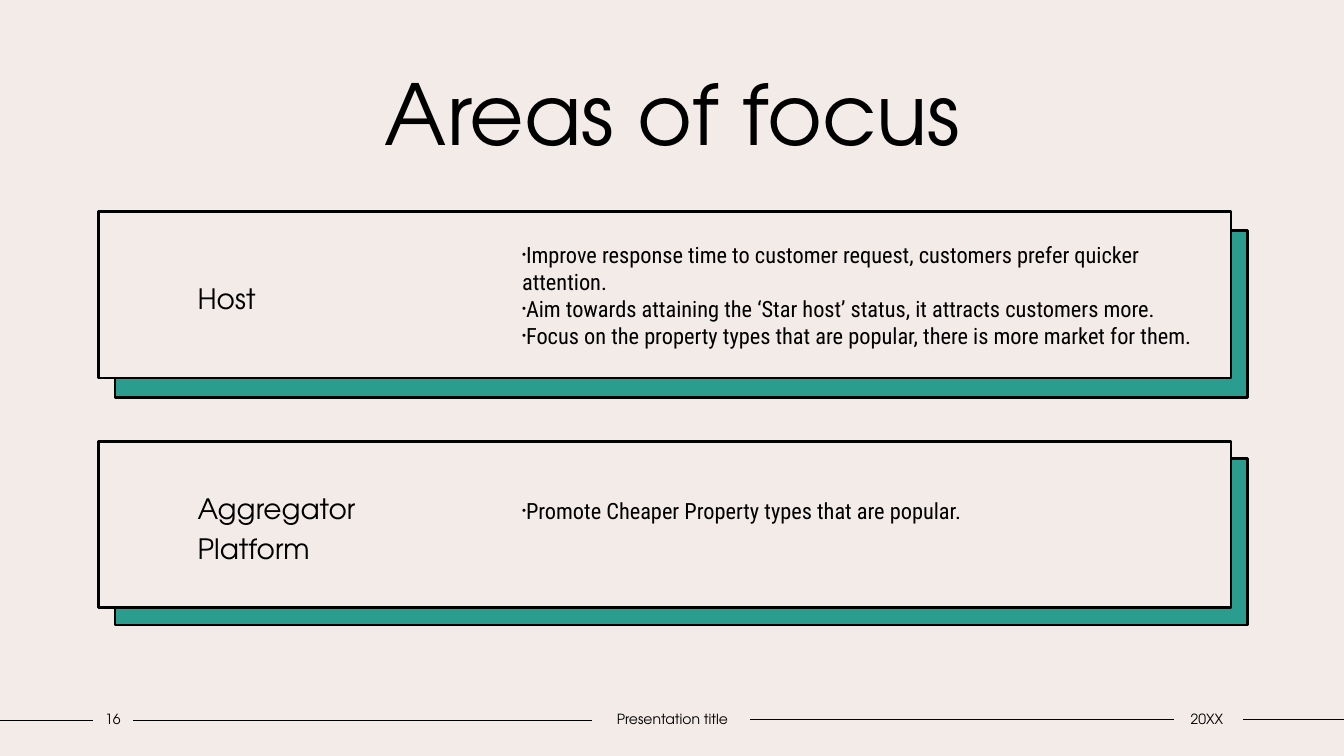
from dataclasses import dataclass

from lxml.etree import SubElement
from pptx import Presentation
from pptx.dml.color import RGBColor as Rgb
from pptx.enum.shapes import MSO_CONNECTOR as Link, MSO_SHAPE as Kind
from pptx.enum.text import MSO_ANCHOR as Anchor, PP_ALIGN as Align
from pptx.oxml.ns import qn
from pptx.shapes.autoshape import Shape
from pptx.slide import Slide
from pptx.util import Inches, Pt


@dataclass(frozen=True)
class Theme:
    paper: Rgb = Rgb(0xF3, 0xEB, 0xE8)
    ink: Rgb = Rgb(0, 0, 0)
    teal: Rgb = Rgb(0x2A, 0x9D, 0x8F)
    head: str = "TeX Gyre Adventor"
    body: str = "Roboto Condensed"
    title: int = 60
    label: int = 20
    point: int = 16
    foot: int = 10


@dataclass(frozen=True)
class Card:
    top: float
    back: float
    label: list[str]
    points: list[str]
    low: float = 0.05


@dataclass(frozen=True)
class Note:
    text: str
    left: float
    width: float


@dataclass(frozen=True)
class Rule:
    start: float
    end: float
    top: float


THEME = Theme()
LEFT, WIDTH, HEIGHT = 0.98, 11.23, 1.65
CARDS = [
    Card(2.1, 2.29, ["Host"], [
        "Improve response time to customer request, customers prefer quicker attention.",
        "Aim towards attaining the ‘Star host’ status, it attracts customers more.",
        "Focus on the property types that are popular, there is more market for them.",
    ]),
    Card(4.38, 4.55, ["Aggregator", "Platform"],
         ["Promote Cheaper Property types that are popular."], low=0.32),
]
NOTES = [
    Note("16", 0.92, 0.4),
    Note("Presentation title", 5.87, 1.6),
    Note("20XX", 11.62, 0.7),
]
RULES = [
    Rule(0, 0.92, 7.15),
    Rule(1.32, 5.87, 7.15),
    Rule(7.44, 11.64, 7.14),
    Rule(12.33, 13.33, 7.14),
]


def add_rule(slide: Slide, rule: Rule) -> None:
    top = Inches(rule.top)
    line = slide.shapes.add_connector(
        Link.STRAIGHT, Inches(rule.start), top, Inches(rule.end), top)
    line.line.color.rgb = THEME.ink
    line.line.width = Pt(1)
    SubElement(line._element.spPr, qn("a:effectLst"))


def add_panel(slide: Slide, left: float, top: float, fill: Rgb) -> Shape:
    panel = slide.shapes.add_shape(
        Kind.RECTANGLE, Inches(left), Inches(top), Inches(WIDTH), Inches(HEIGHT))
    panel.shadow.inherit = False
    panel.fill.solid()
    panel.fill.fore_color.rgb = fill
    panel.line.color.rgb = THEME.ink
    panel.line.width = Pt(2)
    return panel


def add_box(slide: Slide, left: float, top: float, width: float, height: float) -> Shape:
    return slide.shapes.add_textbox(
        Inches(left), Inches(top), Inches(width), Inches(height))


def add_dot(para) -> None:
    """Give a paragraph a half-size hanging bullet."""
    props = para._p.get_or_add_pPr()
    props.set("marL", "0")
    props.set("indent", str(-Inches(0.15)))
    SubElement(props, qn("a:buSzPct"), val="50000")
    SubElement(props, qn("a:buFont"), typeface="Arial")
    SubElement(props, qn("a:buChar"), char="•")


def write(shape: Shape, lines: list[str], face: str, size: int,
          align: Align = Align.LEFT, anchor: Anchor = Anchor.MIDDLE,
          side: tuple[float, float] = (0.1, 0.1), low: float = 0.05,
          space: float = 1.0, dots: bool = False) -> None:
    """Fill a shape with one paragraph per line; side holds left and right insets."""
    frame = shape.text_frame
    frame.word_wrap = True
    frame.vertical_anchor = anchor
    frame.margin_left, frame.margin_right = map(Inches, side)
    frame.margin_top, frame.margin_bottom = Inches(0.05), Inches(low)
    for index, line in enumerate(lines):
        para = frame.add_paragraph() if index else frame.paragraphs[0]
        para.text = line
        para.alignment = align
        para.line_spacing = space
        if dots:
            add_dot(para)
        para.font.name = face
        para.font.size = Pt(size)
        para.font.color.rgb = THEME.ink


def add_card(slide: Slide, card: Card) -> None:
    panel = add_panel(slide, LEFT, card.top, THEME.paper)
    write(panel, card.label, THEME.head, THEME.label, side=(0.98, 7.1), space=1.2)
    box = add_box(slide, 5.08, card.top + 0.1, 7.01, 1.45)
    write(box, card.points, THEME.body, THEME.point, low=card.low, dots=True)


def main() -> None:
    deck = Presentation()
    deck.slide_width, deck.slide_height = Inches(13.33), Inches(7.5)
    slide = deck.slides.add_slide(deck.slide_layouts[6])
    slide.background.fill.solid()
    slide.background.fill.fore_color.rgb = THEME.paper

    for rule in RULES:
        add_rule(slide, rule)
    for card in CARDS:
        add_panel(slide, LEFT + 0.16, card.back, THEME.teal)
    title = add_box(slide, 1.25, 0.56, 10.84, 1.11)
    write(title, ["Areas of focus"], THEME.head, THEME.title,
          align=Align.CENTER, anchor=Anchor.TOP)
    for card in CARDS:
        add_card(slide, card)
    for note in NOTES:
        box = add_box(slide, note.left, 7, note.width, 0.27)
        write(box, [note.text], THEME.head, THEME.foot,
              align=Align.CENTER, side=(0, 0))
    deck.save("out.pptx")


if __name__ == "__main__":
    main()
